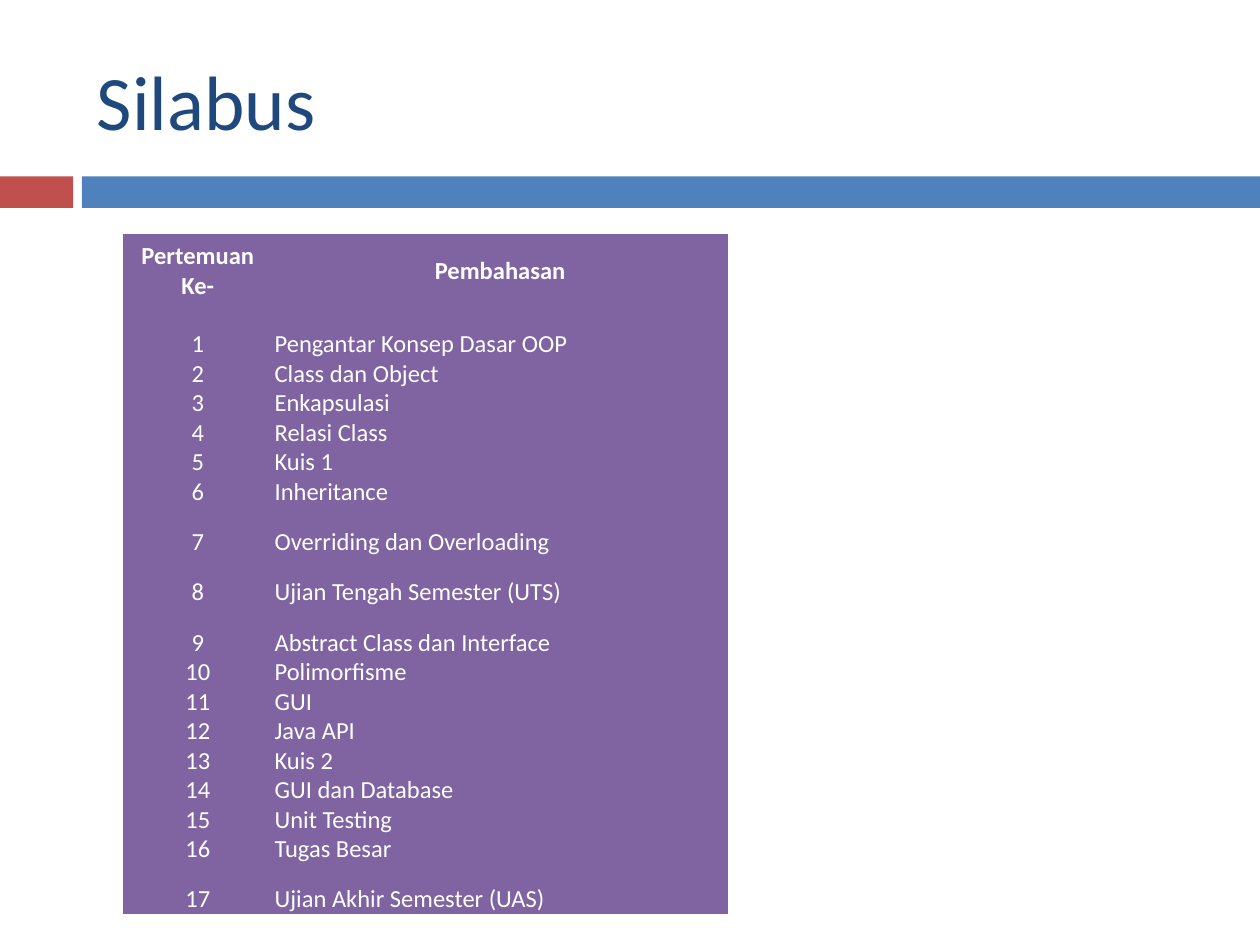
from pptx import Presentation
from pptx.dml.color import RGBColor
from pptx.enum.shapes import MSO_SHAPE
from pptx.enum.text import MSO_ANCHOR, PP_ALIGN
from pptx.oxml.ns import qn
from pptx.util import Inches, Pt

FONT = "Calibri"
NO_STYLE_NO_GRID = "{2D5ABB26-0587-4C30-8999-92F81FD0307C}"
RED, BLUE, NAVY, PURPLE, WHITE = "C0504D", "4F81BD", "1F497D", "8064A2", "FFFFFF"

HEADERS = ("Pertemuan Ke-", "Pembahasan")
TOPICS = [
    "Pengantar Konsep Dasar OOP", "Class dan Object", "Enkapsulasi",
    "Relasi Class", "Kuis 1", "Inheritance", "Overriding dan Overloading",
    "Ujian Tengah Semester (UTS)", "Abstract Class dan Interface",
    "Polimorfisme", "GUI", "Java API", "Kuis 2", "GUI dan Database",
    "Unit Testing", "Tugas Besar", "Ujian Akhir Semester (UAS)",
]
TALL_MEETINGS = {1, 7, 8, 9, 17}
COLUMN_WIDTHS = (1.18, 3.62)
HEADER_HEIGHT, TALL_HEIGHT, ROW_HEIGHT = 0.59, 0.4, 0.2


def color(hex_value):
    return RGBColor.from_string(hex_value)


def style_text(p, size, hex_value, bold=False, align=PP_ALIGN.LEFT):
    p.alignment = align
    p.font.name = FONT
    p.font.size = Pt(size)
    p.font.bold = bold
    p.font.color.rgb = color(hex_value)


def add_bar(s, left, width, hex_value):
    sp = s.shapes.add_shape(MSO_SHAPE.RECTANGLE, Inches(left), Inches(1.4),
                            Inches(width), Inches(0.25))
    sp.shadow.inherit = False
    sp.fill.solid()
    sp.fill.fore_color.rgb = color(hex_value)
    sp.line.fill.background()


def add_title(s, text):
    sp = s.shapes.add_textbox(Inches(0.67), Inches(0.25), Inches(8.92), Inches(1.08))
    tf = sp.text_frame
    tf.word_wrap = True
    tf.vertical_anchor = MSO_ANCHOR.MIDDLE
    tf.text = text
    style_text(tf.paragraphs[0], 44, NAVY)


def fill_cell(cell, text, header, centered):
    cell.fill.solid()
    cell.fill.fore_color.rgb = color(PURPLE)
    cell.margin_left = cell.margin_right = Inches(0.02)
    cell.margin_top = cell.margin_bottom = 0
    cell.vertical_anchor = MSO_ANCHOR.MIDDLE if header else MSO_ANCHOR.BOTTOM
    cell.text = text
    align = PP_ALIGN.CENTER if centered else PP_ALIGN.LEFT
    style_text(cell.text_frame.paragraphs[0], 14, WHITE, header, align)


def add_syllabus(s):
    rows = [HEADERS] + [(str(n), topic) for n, topic in enumerate(TOPICS, 1)]
    frame = s.shapes.add_table(len(rows), len(HEADERS), Inches(0.98), Inches(1.86),
                               Inches(sum(COLUMN_WIDTHS)), Inches(5.37))
    table = frame.table
    table._tbl.tblPr.find(qn("a:tableStyleId")).text = NO_STYLE_NO_GRID
    table.horz_banding = False
    for column, width in zip(table.columns, COLUMN_WIDTHS):
        column.width = Inches(width)
    for i, texts in enumerate(rows):
        header = i == 0
        height = TALL_HEIGHT if i in TALL_MEETINGS else ROW_HEIGHT
        table.rows[i].height = Inches(HEADER_HEIGHT if header else height)
        for j, text in enumerate(texts):
            fill_cell(table.cell(i, j), text, header, header or j == 0)
    # Rows grow to fit their text
    frame.height = Inches(5.37)


def main():
    prs = Presentation()
    prs.slide_width, prs.slide_height = Inches(10), Inches(7.5)
    s = prs.slides.add_slide(prs.slide_layouts[6])

    # Divider bars
    add_bar(s, 0, 0.58, RED)
    add_bar(s, 0.65, 9.35, BLUE)

    # Title and course schedule
    add_title(s, "Silabus")
    add_syllabus(s)

    prs.save("out.pptx")


if __name__ == "__main__":
    main()
